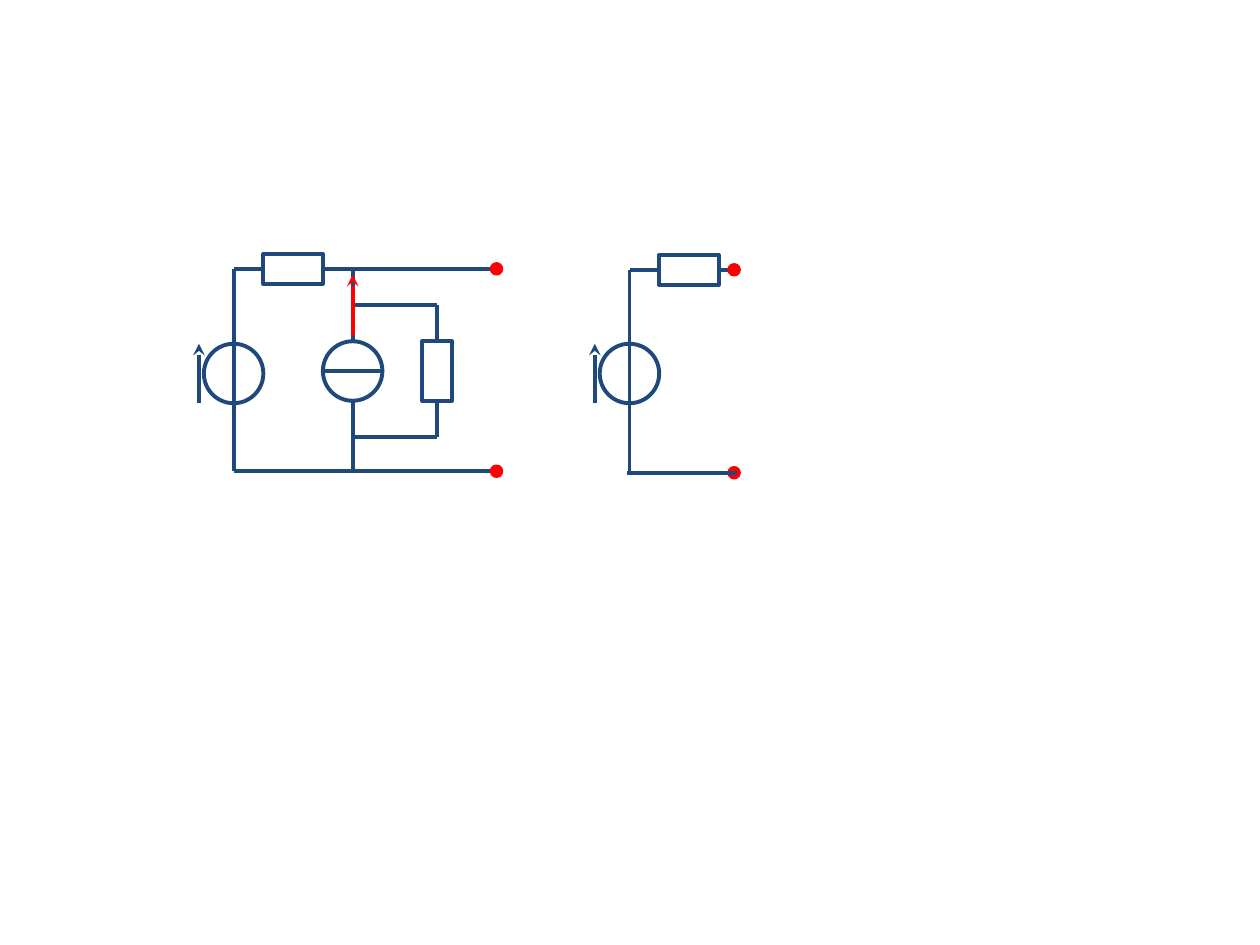
"""Build a slide with a two-source circuit and its equivalent voltage source."""
from lxml import etree
from pptx import Presentation
from pptx.dml.color import RGBColor
from pptx.enum.shapes import MSO_CONNECTOR, MSO_SHAPE
from pptx.oxml.ns import qn
from pptx.util import Cm, Pt

STRAIGHT = MSO_CONNECTOR.STRAIGHT
OVAL = MSO_SHAPE.OVAL
RECTANGLE = MSO_SHAPE.RECTANGLE

COLOURS = {"wire": "1F497D", "terminal": "FF0000", "paper": "FFFFFF"}
WIRE_FORMAT = {"width": Pt(2.25)}
TERMINAL_FORMAT = {"width": Pt(2)}

SOURCE_SIZE = 1.2
RESISTOR_LENGTH, RESISTOR_WIDTH = 1.2, 0.6
TERMINAL_SIZE = 0.2


def format_line(line, colour, values):
    line.color.rgb = RGBColor.from_string(COLOURS[colour])
    for attribute, value in values.items():
        setattr(line, attribute, value)


def add_wire(slide, start, end, colour="wire", arrow=False):
    wire = slide.shapes.add_connector(STRAIGHT, *map(Cm, start + end))
    format_line(wire.line, colour, WIRE_FORMAT)
    if arrow:
        etree.SubElement(wire.get_or_add_ln(), qn("a:tailEnd"), type="stealth")
    etree.SubElement(wire.element.spPr, qn("a:effectLst"))


def add_part(slide, kind, centre, width, height, fill="paper", outline="wire", values=WIRE_FORMAT):
    x, y = centre
    part = slide.shapes.add_shape(
        kind, Cm(x - width / 2), Cm(y - height / 2), Cm(width), Cm(height))
    part.shadow.inherit = False
    part.fill.solid()
    part.fill.fore_color.rgb = RGBColor.from_string(COLOURS[fill])
    format_line(part.line, outline, values)
    return part


def add_source(slide, centre):
    add_part(slide, OVAL, centre, SOURCE_SIZE, SOURCE_SIZE)


def add_resistor(slide, centre, rotation=0):
    resistor = add_part(slide, RECTANGLE, centre, RESISTOR_LENGTH, RESISTOR_WIDTH)
    resistor.rotation = rotation


def add_terminals(slide, x, levels):
    for y in levels:
        add_part(slide, OVAL, (x, y), TERMINAL_SIZE, TERMINAL_SIZE,
                 "terminal", "terminal", TERMINAL_FORMAT)


def add_voltage_branch(slide, x, top, bottom, wire_end):
    middle = 7.53
    arrow_x = x - 0.7
    add_wire(slide, (x, top), (wire_end, top))
    add_source(slide, (x, middle))
    add_wire(slide, (x, bottom), (x, top))
    add_wire(slide, (arrow_x, middle + SOURCE_SIZE / 2),
             (arrow_x, middle - SOURCE_SIZE / 2), arrow=True)
    add_resistor(slide, (x + 1.2, top))


def add_current_branch(slide, x, top, bottom):
    middle = 7.48
    radius = SOURCE_SIZE / 2
    parallel_x = x + 1.7
    upper, lower = middle - 1.33, middle + 1.33
    add_source(slide, (x, middle))
    add_wire(slide, (x - radius, middle), (x + radius, middle))
    add_wire(slide, (x, top), (x, middle - radius))
    add_wire(slide, (x, bottom), (x, middle + radius))
    for y in (upper, lower):
        add_wire(slide, (x, y), (parallel_x, y))
    add_wire(slide, (parallel_x, lower), (parallel_x, upper))
    add_resistor(slide, (parallel_x, middle), rotation=90)
    add_wire(slide, (x, 6.76), (x, 5.54), "terminal", arrow=True)


def add_two_source_circuit(slide):
    left, top, bottom, right = 4.71, 5.42, 9.5, 9.91
    add_voltage_branch(slide, left, top, bottom, right)
    add_current_branch(slide, 7.11, top, bottom)
    add_wire(slide, (right, bottom), (left, bottom))
    add_terminals(slide, right + TERMINAL_SIZE / 2, (top, bottom))


def add_equivalent_circuit(slide):
    left, top, bottom, terminal_x = 12.69, 5.44, 9.53, 14.8
    add_voltage_branch(slide, left, top, bottom, terminal_x + 0.1)
    add_terminals(slide, terminal_x, (top, bottom))
    add_wire(slide, (left - 0.05, bottom), (terminal_x + 0.05, bottom))


def main():
    presentation = Presentation()
    presentation.slide_width = Cm(25.4)
    presentation.slide_height = Cm(19.05)
    slide = presentation.slides.add_slide(presentation.slide_layouts[6])
    add_two_source_circuit(slide)
    add_equivalent_circuit(slide)
    presentation.save("out.pptx")


if __name__ == "__main__":
    main()
